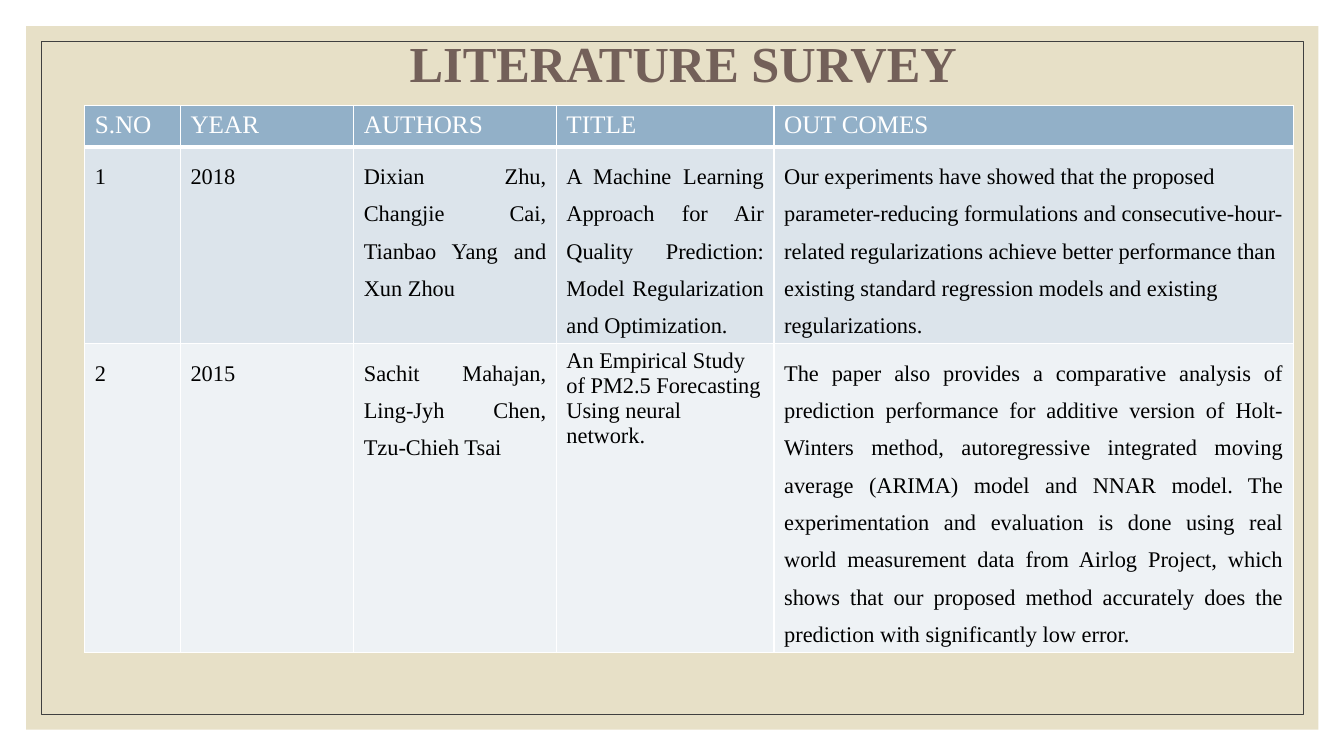
"""Build the literature survey slide with a framed background and a table."""
from lxml.etree import SubElement
from pptx import Presentation
from pptx.dml.color import RGBColor
from pptx.enum.shapes import MSO_SHAPE
from pptx.enum.text import PP_ALIGN
from pptx.oxml.ns import qn
from pptx.util import Pt

COLOURS = {
    "panel": "E7E0C7",
    "frame": "404040",
    "title": "736059",
    "header": "92B0C8",
    "odd": "DCE4EB",
    "even": "EEF2F5",
    "white": "FFFFFF",
    "text": "000000",
}
COLUMN_WIDTHS = [68.4, 123.84, 144.72, 155.52, 370.8]
ROW_HEIGHTS = [29.5, 140, 220]
HEADINGS = ["S.NO", "YEAR", "AUTHORS", "TITLE", "OUT COMES"]
SURVEY = [
    [
        "1",
        "2018",
        "Dixian Zhu, Changjie Cai, Tianbao Yang and Xun Zhou",
        "A Machine Learning Approach for Air Quality Prediction: "
        "Model Regularization and Optimization.",
        "Our experiments have showed that the proposed parameter-reducing "
        "formulations and consecutive-hour-related regularizations achieve "
        "better performance than existing standard regression models and "
        "existing regularizations.",
    ],
    [
        "2",
        "2015",
        "Sachit Mahajan, Ling-Jyh Chen, Tzu-Chieh Tsai",
        "An Empirical Study of PM2.5 Forecasting Using neural network.",
        "The paper also provides a comparative analysis of prediction "
        "performance for additive version of Holt-Winters method, "
        "autoregressive integrated moving average (ARIMA) model and NNAR "
        "model. The experimentation and evaluation is done using real world "
        "measurement data from Airlog Project, which shows that our proposed "
        "method accurately does the prediction with significantly low error.",
    ],
]
LEFT_ALIGNED = {(1, 4), (2, 3)}
SINGLE_SPACED = {(2, 3)}


class SurveyPage:
    """Hold the style and the current slide."""

    font = "Times New Roman"

    def __init__(self, page):
        """Keep the slide to draw on."""
        self.page = page

    def colour(self, name):
        """Return a named colour."""
        return RGBColor.from_string(COLOURS[name])

    def rectangle(self, left, top, width, height, fill=None, line=None):
        """Add a plain rectangle."""
        box = self.page.shapes.add_shape(
            MSO_SHAPE.RECTANGLE, Pt(left), Pt(top), Pt(width), Pt(height))
        box.shadow.inherit = False
        if fill:
            box.fill.solid()
            box.fill.fore_color.rgb = self.colour(fill)
        else:
            box.fill.background()
        if line:
            box.line.color.rgb = self.colour(line)
            box.line.width = Pt(0.5)
        else:
            box.line.fill.background()

    def add_span(self, para, text, size, colour, bold=False):
        """Add one styled run to a paragraph."""
        span = para.add_run()
        span.text = text
        span.font.name = self.font
        span.font.size = Pt(size)
        span.font.bold = bold
        span.font.color.rgb = self.colour(colour)

    def title(self, text, left, top, width, height):
        """Add the centred, indented title."""
        box = self.page.shapes.add_textbox(
            Pt(left), Pt(top), Pt(width), Pt(height))
        box.text_frame.word_wrap = True
        para = box.text_frame.paragraphs[0]
        para.level = 2
        para.alignment = PP_ALIGN.CENTER
        para.line_spacing = 1.7
        properties = para._p.get_or_add_pPr()
        properties.set("marL", str(Pt(72)))
        properties.set("indent", "0")
        self.add_span(para, text, 36, "title", bold=True)

    def borders(self, cell, bottom):
        """Draw white borders around a cell."""
        properties = cell._tc.get_or_add_tcPr()
        widths = {"a:lnL": 1, "a:lnR": 1, "a:lnT": 1, "a:lnB": bottom}
        for side, width in widths.items():
            line = SubElement(properties, qn(side), w=str(Pt(width)))
            fill = SubElement(line, qn("a:solidFill"))
            SubElement(fill, qn("a:srgbClr"), val=COLOURS["white"])

    def cell(self, cell, text, row, column):
        """Fill and style one table cell."""
        header = row == 0
        self.borders(cell, 3 if header else 1)
        cell.fill.solid()
        cell.fill.fore_color.rgb = self.colour(("header", "odd", "even")[row])
        para = cell.text_frame.paragraphs[0]
        if header:
            self.add_span(para, text, 18, "white")
            return
        if (row, column) not in LEFT_ALIGNED:
            para.alignment = PP_ALIGN.JUSTIFY
        if (row, column) not in SINGLE_SPACED:
            para.line_spacing = 1.5
        self.add_span(para, text, 16, "text")

    def table(self, rows, left, top):
        """Add the survey table."""
        table = self.page.shapes.add_table(
            len(rows), len(COLUMN_WIDTHS), Pt(left), Pt(top),
            Pt(sum(COLUMN_WIDTHS)), Pt(sum(ROW_HEIGHTS))).table
        for column, width in zip(table.columns, COLUMN_WIDTHS):
            column.width = Pt(width)
        for row, height in zip(table.rows, ROW_HEIGHTS):
            row.height = Pt(height)
        for row, texts in enumerate(rows):
            for column, text in enumerate(texts):
                self.cell(table.cell(row, column), text, row, column)


def main():
    """Build and save the deck."""
    deck = Presentation()
    deck.slide_width, deck.slide_height = Pt(960), Pt(540)
    survey = SurveyPage(deck.slides.add_slide(deck.slide_layouts[6]))
    survey.rectangle(18.72, 18.72, 923.04, 502.56, fill="panel")
    survey.rectangle(29.52, 29.52, 901.44, 480.96, line="frame")
    survey.table([HEADINGS] + SURVEY, 60.48, 75.6)
    survey.title("LITERATURE SURVEY", 113.76, -10.8, 676.8, 73.44)
    deck.save("out.pptx")


if __name__ == "__main__":
    main()
